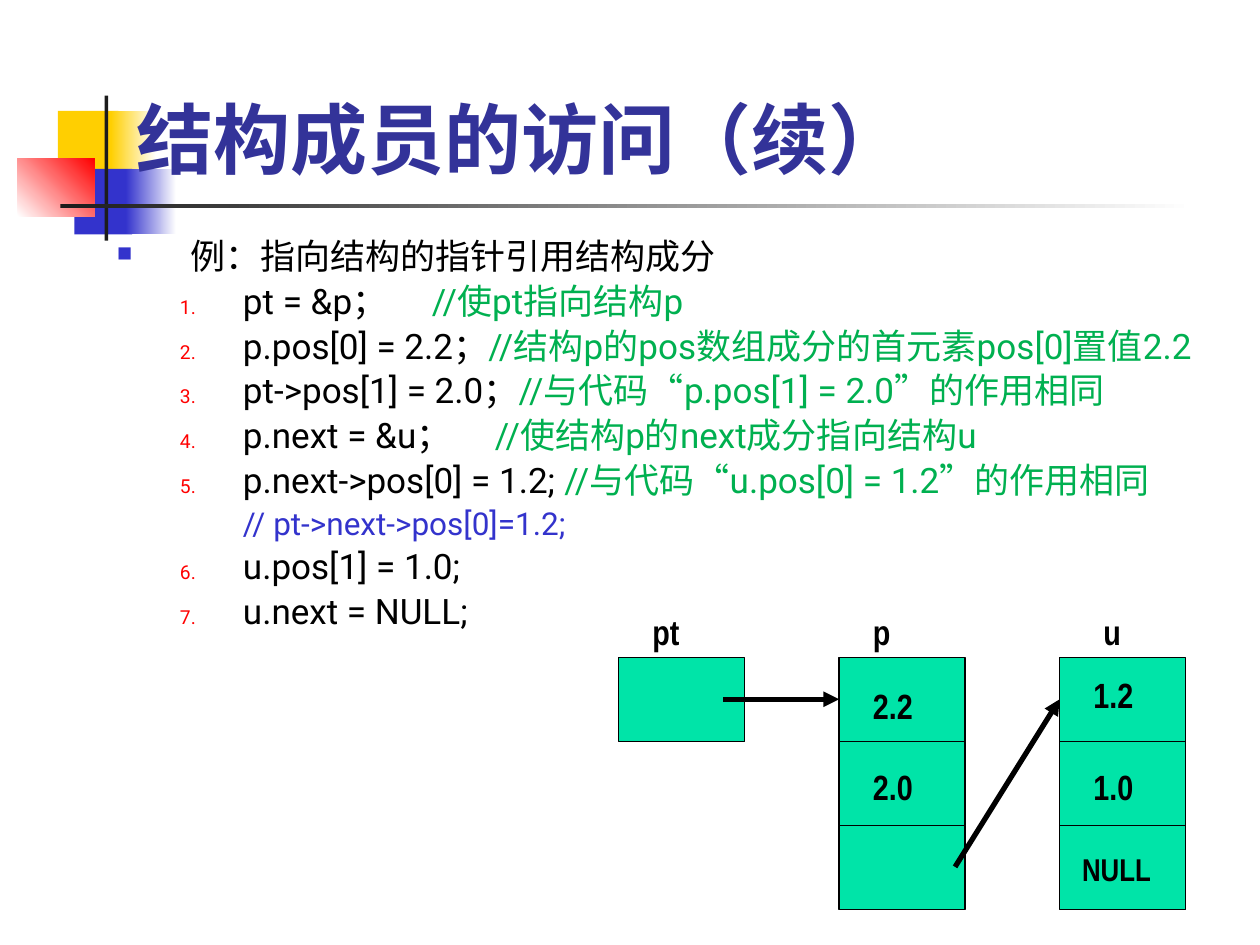
from lxml import etree
from pptx import Presentation
from pptx.dml.color import RGBColor
from pptx.enum.shapes import MSO_CONNECTOR, MSO_SHAPE
from pptx.enum.text import MSO_ANCHOR, MSO_AUTO_SIZE, PP_ALIGN
from pptx.oxml.ns import qn
from pptx.util import Inches, Pt

RECT, CELL = MSO_SHAPE.RECTANGLE, MSO_SHAPE.FLOWCHART_PROCESS
STRAIGHT = MSO_CONNECTOR.STRAIGHT
TITLE_ONLY = 5

THEME = {
    "title": "333399", "text": "000000", "comment": "00B050", "note": "3333CC",
    "square": "3333CC", "number": "FF0000", "cell": "00E4A8", "line": "000000",
    "yellow": "FFCF01", "blue": "3333CC", "red": "FF0000", "dark": "1C1C1C",
    "white": "FFFFFF",
    "title_font": "DejaVu Sans Mono", "body_font": "Roboto",
    "quote_font": "Arial", "label_font": "Arial Narrow",
    "title_size": 44, "body_size": 20, "note_size": 18,
    "label_size": 20, "null_size": 18,
}

TITLE = "结构成员的访问（续）"


def same_effect(code):
    """Comment runs saying that a statement does the same as code."""
    return [("//与代码", "comment"), ("“", "quote"), (code, "comment"),
            ("”", "quote"), ("的作用相同", "comment")]


# (paragraph kind, runs of (text, run kind))
BODY = [
    ("heading", [("例：指向结构的指针引用结构成分", "text")]),
    ("step", [("pt = &p；\t", "text"), ("//使pt指向结构p", "comment")]),
    ("step", [("p.pos[0] = 2.2；", "text"),
              ("//结构p的pos数组成分的首元素pos[0]置值2.2", "comment")]),
    ("step", [("pt->pos[1] = 2.0；", "text")] + same_effect("p.pos[1] = 2.0")),
    ("step", [("p.next = &u；\t", "text"),
              ("//使结构p的next成分指向结构u", "comment")]),
    ("step", [("p.next->pos[0] = 1.2; ", "text")] + same_effect("u.pos[0] = 1.2")),
    ("note", [("// pt->next->pos[0]=1.2;", "note")]),
    ("step", [("u.pos[1] = 1.0;", "text")]),
    ("step", [("u.next = NULL;", "text")]),
]
# kind: level, left margin, hanging indent, bullet (colour, size %, tag, attributes)
PARAGRAPHS = {
    "heading": (0, 0.58, 0.58, ("square", 60, "a:buChar", {"char": "■"})),
    "step": (1, 1, 0.5, ("number", 55, "a:buAutoNum", {"type": "arabicPeriod"})),
    "note": (2, 1.42, 0.42, None),
}
# run kind: colour, font, size
RUNS = {
    "text": ("text", "body_font", "body_size"),
    "comment": ("comment", "body_font", "body_size"),
    "quote": ("comment", "quote_font", "body_size"),
    "note": ("note", "body_font", "note_size"),
}

# left, top, width, height, colours from start to end, gradient angle
ORNAMENT = [
    (0.46, 0.88, 0.48, 0.52, ["yellow"], 0),
    (0.88, 0.88, 0.36, 0.52, ["yellow", "white"], 0),
    (0.59, 1.34, 0.46, 0.52, ["blue"], 0),
    (1, 1.34, 0.4, 0.52, ["blue", "white"], 0),
    (0.14, 1.26, 0.61, 0.46, ["white", "red"], 45),
    (0.83, 0.76, 0.03, 1.15, ["dark"], 0),
    (0.48, 1.62, 9, 0.03, ["dark", "white"], 0),
]

NODE_TOP, NODE_W, CELL_H = 5.22, 1, 2 / 3
NODES = [(4.91, 1), (6.66, 3), (8.41, 3)]  # left, number of cells
ARROWS = [((5.74, 5.55), (6.66, 5.55)), ((7.58, 6.88), (8.41, 5.55))]
LABELS = [  # text, left, top, width, size
    ("pt", 5.08, 4.8, 0.5, "label_size"),
    ("p", 6.83, 4.8, 0.5, "label_size"),
    ("u", 8.66, 4.8, 0.5, "label_size"),
    ("2.2", 6.83, 5.38, 0.67, "label_size"),
    ("2.0", 6.83, 6.03, 0.67, "label_size"),
    ("1.2", 8.58, 5.3, 0.67, "label_size"),
    ("1.0", 8.58, 6.03, 0.67, "label_size"),
    ("NULL", 8.49, 6.7, 0.83, "null_size"),
]


def rgb(name):
    return RGBColor.from_string(THEME[name])


def box(*lengths):
    return [Inches(v) for v in lengths]


def add_run(p, text, color, font, size, bold=False):
    r = p.add_run()
    r.text = text
    r.font.name = THEME[font]
    r.font.size = Pt(THEME[size])
    r.font.bold = bold
    r.font.color.rgb = rgb(color)


def add_ornament(s):
    for *place, colors, angle in ORNAMENT:
        sp = s.shapes.add_shape(RECT, *box(*place))
        sp.shadow.inherit = False
        sp.line.fill.background()
        if len(colors) == 1:
            sp.fill.solid()
            sp.fill.fore_color.rgb = rgb(colors[0])
        else:
            sp.fill.gradient()
            sp.fill.gradient_angle = angle
            for stop, color in zip(sp.fill.gradient_stops, colors):
                stop.color.rgb = rgb(color)


def set_title(s):
    title = s.shapes.title
    title.left, title.top, title.width, title.height = box(0.98, 0.36, 8.52, 1.15)
    tf = title.text_frame
    tf.auto_size = MSO_AUTO_SIZE.NONE
    tf.vertical_anchor = MSO_ANCHOR.BOTTOM
    p = tf.paragraphs[0]
    p.alignment = PP_ALIGN.LEFT
    add_run(p, TITLE, "title", "title_font", "title_size", bold=True)
    # The title overlaps the ornament and belongs in front of it.
    title.element.getparent().append(title.element)


def format_paragraph(p, kind):
    level, margin, hanging, bullet = PARAGRAPHS[kind]
    p.level = level
    p.line_spacing = 0.9
    p.space_before = Pt(4)
    pPr = p._p.get_or_add_pPr()
    pPr.set("marL", str(Inches(margin)))
    pPr.set("indent", str(-Inches(hanging)))
    if bullet is None:
        etree.SubElement(pPr, qn("a:buNone"))
        return
    color, percent, tag, attributes = bullet
    clr = etree.SubElement(pPr, qn("a:buClr"))
    etree.SubElement(clr, qn("a:srgbClr"), val=THEME[color])
    etree.SubElement(pPr, qn("a:buSzPct"), val=str(percent * 1000))
    etree.SubElement(pPr, qn(tag), attributes)


def add_body(s):
    tf = s.shapes.add_textbox(*box(0.83, 1.85, 8.89, 3.91)).text_frame
    tf.word_wrap = True
    for i, (kind, runs) in enumerate(BODY):
        p = tf.add_paragraph() if i else tf.paragraphs[0]
        format_paragraph(p, kind)
        for text, run_kind in runs:
            add_run(p, text, *RUNS[run_kind])


def add_nodes(s):
    for left, count in NODES:
        shapes = s.shapes if count == 1 else s.shapes.add_group_shape().shapes
        for i in range(count):
            sp = shapes.add_shape(
                CELL, *box(left, NODE_TOP + i * CELL_H, NODE_W, CELL_H))
            sp.shadow.inherit = False
            sp.fill.solid()
            sp.fill.fore_color.rgb = rgb("cell")
            sp.line.color.rgb = rgb("line")
            sp.line.width = Pt(0.75)


def add_arrows(s):
    for start, end in ARROWS:
        arrow = s.shapes.add_connector(STRAIGHT, *box(*start, *end))
        arrow.line.color.rgb = rgb("line")
        arrow.line.width = Pt(3)
        etree.SubElement(arrow.line._get_or_add_ln(), qn("a:tailEnd"), type="triangle")
        etree.SubElement(arrow._element.spPr, qn("a:effectLst"))


def add_labels(s):
    for text, left, top, width, size in LABELS:
        height = 0.43 if size == "label_size" else 0.4
        tf = s.shapes.add_textbox(*box(left, top, width, height)).text_frame
        tf.word_wrap = True
        tf.auto_size = MSO_AUTO_SIZE.SHAPE_TO_FIT_TEXT
        add_run(tf.paragraphs[0], text, "text", "label_font", size, bold=True)


def main():
    prs = Presentation()
    prs.slide_width, prs.slide_height = box(10, 7.5)
    s = prs.slides.add_slide(prs.slide_layouts[TITLE_ONLY])
    for build in (add_ornament, set_title, add_body, add_nodes, add_arrows, add_labels):
        build(s)
    prs.save("out.pptx")


if __name__ == "__main__":
    main()
